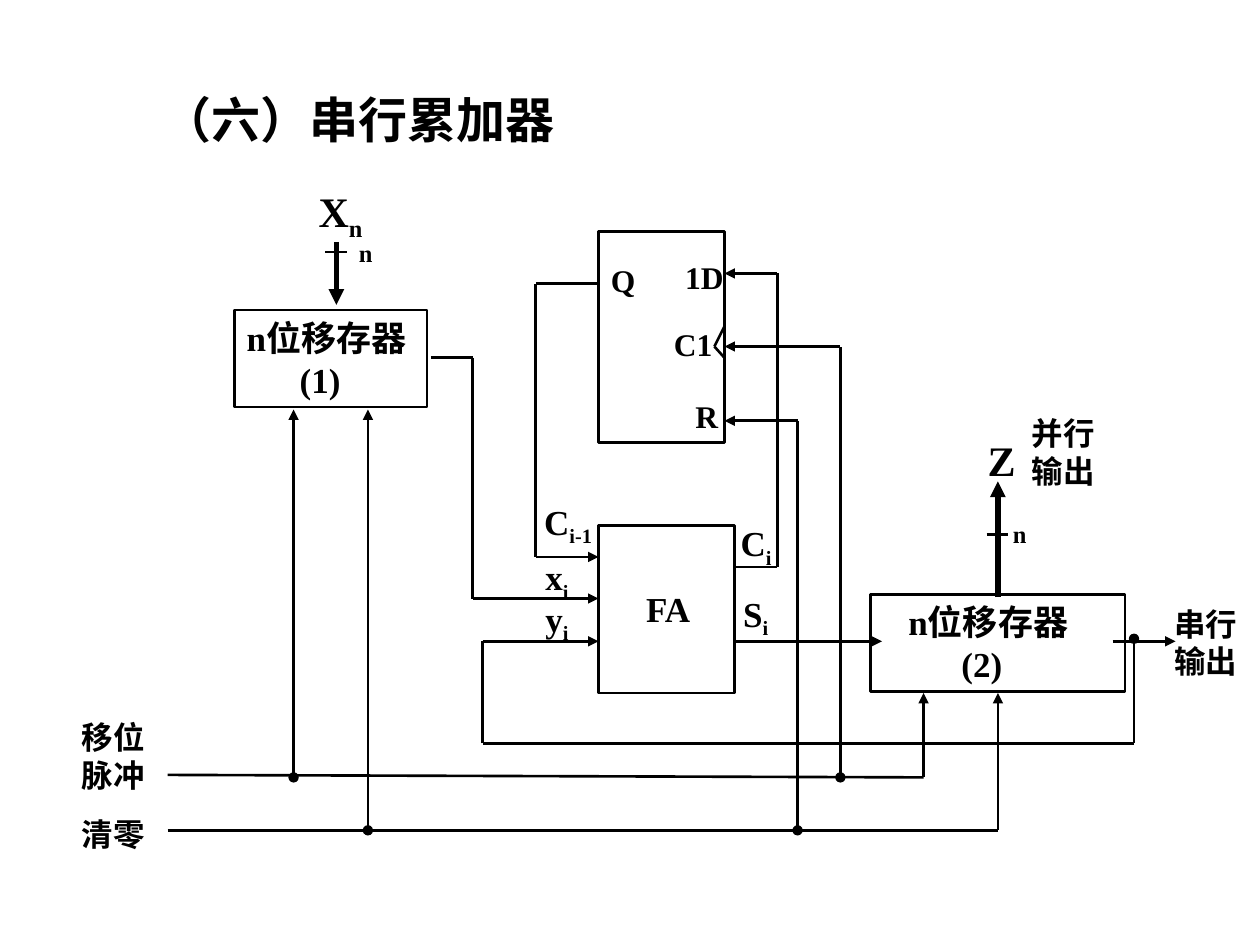
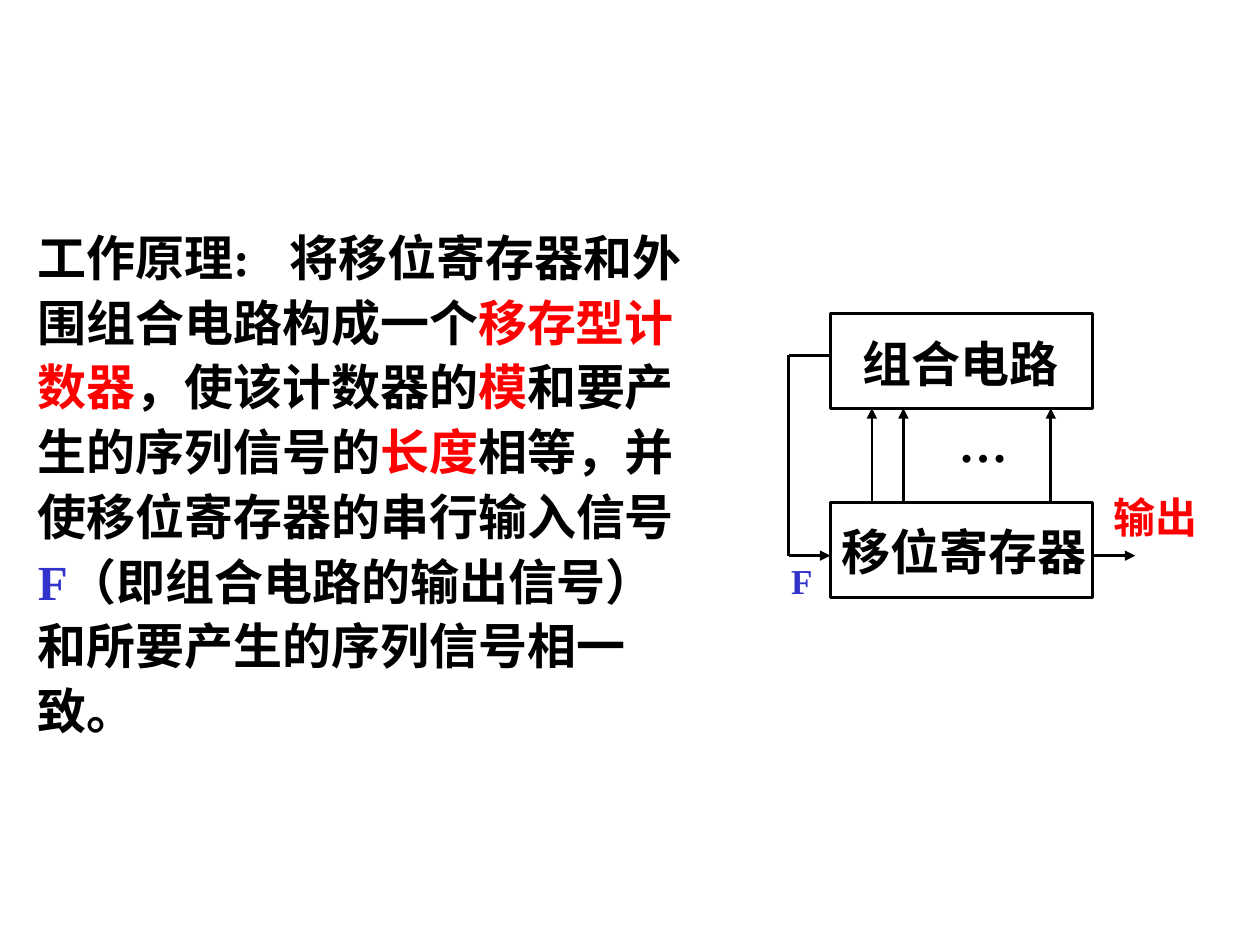
from dataclasses import dataclass

from lxml.etree import SubElement
from pptx import Presentation
from pptx.dml.color import RGBColor
from pptx.enum.shapes import MSO_CONNECTOR, MSO_SHAPE
from pptx.enum.text import MSO_ANCHOR, MSO_AUTO_SIZE, PP_ALIGN
from pptx.oxml.ns import qn
from pptx.shapes.base import BaseShape
from pptx.slide import Slide
from pptx.text.text import TextFrame, _Paragraph
from pptx.util import Inches, Pt

FONT = "Times New Roman"
COLORS = {"ink": "000000", "key": "FF0000", "signal": "3333CC"}
TITLE_ONLY, TITLE_AND_BODY = 5, 1
LINE_WIDTH, BUS_WIDTH = 1.5, 3

Point = tuple[float, float]


@dataclass(frozen=True)
class Box:
    left: float
    top: float
    width: float
    height: float


@dataclass(frozen=True)
class Label:
    box: Box
    lines: tuple[str, ...]
    size: float
    subscript: str = ""
    color: str = "ink"


@dataclass(frozen=True)
class Wire:
    """A chain of straight lines, with optional end marks."""
    points: tuple[Point, ...]
    head: str = ""
    tail: str = ""
    width: float = LINE_WIDTH


def color_of(name: str) -> RGBColor:
    return RGBColor.from_string(COLORS[name])


def add_run(paragraph: _Paragraph, text: str, size: float,
            color: str = "ink", subscript: bool = False) -> None:
    run = paragraph.add_run()
    run.text = text
    run.font.name = FONT
    run.font.size = Pt(size)
    run.font.bold = True
    run.font.color.rgb = color_of(color)
    if subscript:
        run._r.get_or_add_rPr().set("baseline", "-25000")


def next_paragraph(frame: TextFrame, index: int) -> _Paragraph:
    paragraph = frame.paragraphs[0] if index == 0 else frame.add_paragraph()
    paragraph.alignment = PP_ALIGN.LEFT
    return paragraph


def place(shape: BaseShape, box: Box) -> None:
    shape.left, shape.top = Inches(box.left), Inches(box.top)
    shape.width, shape.height = Inches(box.width), Inches(box.height)


def prepare_text(shape: BaseShape, box: Box) -> TextFrame:
    """Place a text shape and let its text start at the top left."""
    place(shape, box)
    frame = shape.text_frame
    frame.word_wrap = True
    frame.auto_size = MSO_AUTO_SIZE.NONE
    frame.vertical_anchor = MSO_ANCHOR.TOP
    return frame


def add_label(slide: Slide, label: Label) -> None:
    frame = prepare_text(slide.shapes.add_textbox(0, 0, 0, 0), label.box)
    frame.margin_right = 0
    for index, line in enumerate(label.lines):
        paragraph = next_paragraph(frame, index)
        add_run(paragraph, line, label.size, label.color)
    if label.subscript:
        add_run(paragraph, label.subscript, label.size, label.color, True)


def add_block(slide: Slide, box: Box) -> BaseShape:
    shape = slide.shapes.add_shape(MSO_SHAPE.RECTANGLE, 0, 0, 0, 0)
    place(shape, box)
    shape.shadow.inherit = False
    shape.fill.background()
    shape.line.color.rgb = color_of("ink")
    shape.line.width = Pt(LINE_WIDTH)
    return shape


def add_register(slide: Slide, box: Box, margin: float, number: str) -> None:
    """Draw an n-bit shift register with its number on the second line."""
    frame = prepare_text(add_block(slide, box), box)
    frame.margin_left, frame.margin_right = Inches(margin), 0
    for index, line in enumerate(("n位移存器", number)):
        paragraph = next_paragraph(frame, index)
        if index == 1:
            paragraph._p.get_or_add_pPr().set("marL", str(Inches(0.42)))
        add_run(paragraph, line, 20)


def add_wire(slide: Slide, wire: Wire) -> None:
    segments = list(zip(wire.points, wire.points[1:]))
    for index, (start, end) in enumerate(segments):
        connector = slide.shapes.add_connector(
            MSO_CONNECTOR.STRAIGHT, *map(Inches, start + end))
        connector.line.color.rgb = color_of("ink")
        connector.line.width = Pt(wire.width)
        line = connector.line._get_or_add_ln()
        if wire.head and index == 0:
            SubElement(line, qn("a:headEnd"), type=wire.head)
        if wire.tail and index == len(segments) - 1:
            SubElement(line, qn("a:tailEnd"), type=wire.tail)
        SubElement(connector._element.spPr, qn("a:effectLst"))


def build_accumulator(presentation: Presentation) -> None:
    slide = presentation.slides.add_slide(presentation.slide_layouts[TITLE_ONLY])
    frame = prepare_text(slide.shapes.title, Box(1.19, 0.66, 3.89, 0.57))
    add_run(next_paragraph(frame, 0), "（六）串行累加器", 28)

    add_register(slide, Box(1.86, 2.46, 1.53, 0.77), 0.1, "(1)")
    add_register(slide, Box(6.91, 4.72, 2.02, 0.77), 0.3, "(2)")
    full_adder = Box(4.75, 4.17, 1.08, 1.33)
    flip_flop = Box(4.75, 1.84, 1, 1.67)
    for box in (full_adder, flip_flop):
        add_block(slide, box)

    left_pins, right_pins = full_adder.left, flip_flop.left + flip_flop.width
    adder_right = full_adder.left + full_adder.width
    shift_y, clear_y, sum_y, feedback_y = 6.17, 6.59, 5.09, 5.9
    register_bottoms = 3.25, 5.5
    wires = (
        # Clock notch of the flip-flop
        Wire(((right_pins, 2.59), (5.67, 2.75), (right_pins, 2.84))),
        # Shift pulse and clear lines
        Wire(((1.33, 6.15), (7.33, shift_y), (7.33, register_bottoms[1])), tail="triangle"),
        Wire(((1.33, clear_y), (7.92, clear_y), (7.92, register_bottoms[1])), tail="triangle"),
        Wire(((2.33, shift_y), (2.33, register_bottoms[0])), "oval", "triangle"),
        Wire(((2.92, clear_y), (2.92, register_bottoms[0])), "oval", "triangle"),
        Wire(((6.33, clear_y), (6.33, 3.34), (right_pins, 3.34)), "oval", "triangle"),
        Wire(((6.67, shift_y), (6.67, 2.75), (right_pins, 2.75)), "oval", "triangle"),
        # Adder inputs
        Wire(((4.75, 2.25), (4.25, 2.25), (4.25, 4.42), (left_pins, 4.42)), tail="triangle"),
        Wire(((3.42, 2.84), (3.75, 2.84), (3.75, 4.75), (left_pins, 4.75)), tail="triangle"),
        Wire(((9, 5.07), (9, feedback_y), (3.83, feedback_y), (3.83, sum_y),
              (left_pins, sum_y)), "oval", "triangle"),
        # Adder outputs and serial output
        Wire(((adder_right, 4.5), (6.17, 4.5), (6.17, 2.17), (right_pins, 2.17)),
             tail="triangle"),
        Wire(((adder_right, sum_y), (7, sum_y)), tail="triangle"),
        Wire(((8.83, sum_y), (9.33, sum_y)), tail="triangle"),
        # Parallel buses and their width ticks
        Wire(((2.67, 1.92), (2.67, 2.42)), tail="triangle", width=BUS_WIDTH),
        Wire(((7.92, 4.74), (7.92, 3.82)), tail="triangle", width=BUS_WIDTH),
        Wire(((2.58, 2), (2.75, 2))),
        Wire(((7.83, 4.24), (8, 4.24))),
    )
    for wire in wires:
        add_wire(slide, wire)

    labels = (
        Label(Box(5.03, 4.61, 0.57, 0.44), ("FA",), 20),
        Label(Box(4.75, 2.02, 0.39, 0.4), ("Q",), 18),
        Label(Box(5.34, 2, 0.5, 0.4), ("1D",), 18),
        Label(Box(5.25, 2.53, 0.5, 0.4), ("C1",), 18),
        Label(Box(5.42, 3.1, 0.38, 0.4), ("R",), 18),
        Label(Box(2.43, 1.42, 0.55, 0.56), ("X",), 24, "n"),
        Label(Box(4.22, 3.92, 0.58, 0.48), ("C",), 20, "i-1"),
        Label(Box(5.78, 4.09, 0.44, 0.48), ("C",), 20, "i"),
        Label(Box(5.8, 4.65, 0.4, 0.48), ("S",), 20, "i"),
        Label(Box(4.23, 4.36, 0.38, 0.48), ("x",), 20, "i"),
        Label(Box(4.23, 4.69, 0.38, 0.48), ("y",), 20, "i"),
        Label(Box(2.75, 1.84, 0.31, 0.34), ("n",), 14),
        Label(Box(7.94, 4.07, 0.31, 0.34), ("n",), 14),
        Label(Box(7.74, 3.4, 0.42, 0.5), ("Z",), 24),
        Label(Box(0.55, 6.42, 0.7, 0.4), ("清零",), 18),
        Label(Box(0.55, 5.65, 0.7, 0.7), ("移位", "脉冲"), 18),
        Label(Box(9.22, 4.75, 0.7, 0.7), ("串行", "输出"), 18),
        Label(Box(8.09, 3.24, 0.7, 0.7), ("并行", "输出"), 18),
    )
    for label in labels:
        add_label(slide, label)


PRINCIPLE = (
    (("工作原理:\t将移位寄存器和外围组合电路构成一个", "ink"), ("移存型计数器", "key"),
     ("，使该计数器的", "ink"), ("模", "key"), ("和要产生的序列信号的", "ink"),
     ("长度", "key"), ("相等，并使移位寄存器的串行输入信号", "ink")),
    (("F", "signal"), ("（即组合电路的输出信号）", "ink")),
    (("和所要产生的序列信号相一致。", "ink"),),
)


def fill_principle(frame: TextFrame) -> None:
    for index, runs in enumerate(PRINCIPLE):
        paragraph = next_paragraph(frame, index)
        properties = paragraph._p.get_or_add_pPr()
        for name in ("marL", "indent", "hangingPunct"):
            properties.set(name, "0")
        SubElement(properties, qn("a:buNone"))
        if index == 0:
            tabs = SubElement(properties, qn("a:tabLst"))
            SubElement(tabs, qn("a:tab"), pos=str(Inches(2.13)), algn="l")
        paragraph.line_spacing = 1.1
        paragraph.space_before = Pt(0)
        for text, color in runs:
            add_run(paragraph, text, 28, color)


def build_principle(presentation: Presentation) -> None:
    slide = presentation.slides.add_slide(presentation.slide_layouts[TITLE_AND_BODY])
    title = slide.shapes.title._element
    title.getparent().remove(title)
    fill_principle(prepare_text(slide.placeholders[1], Box(0.2, 1.71, 5.5, 3.7)))

    logic = Box(6.59, 2.49, 2.08, 0.75)
    register = Box(logic.left, logic.top + 1.5, logic.width, logic.height)
    for box in (logic, register):
        add_block(slide, box)
    for x in (6.92, 7.17, 8.34):
        add_wire(slide, Wire(((x, register.top), (x, logic.top + logic.height)),
                             tail="triangle"))
    serial_y, feedback_x = 4.41, 6.26
    add_wire(slide, Wire(((logic.left, 2.82), (feedback_x, 2.82), (feedback_x, serial_y),
                          (register.left, serial_y)), tail="triangle"))
    add_wire(slide, Wire(((register.left + register.width, serial_y), (9.01, serial_y)),
                         tail="triangle"))

    labels = (
        Label(Box(6.75, 2.6, 1.75, 0.57), ("组合电路",), 28),
        Label(Box(6.58, 4.09, 2.14, 0.57), ("移位寄存器",), 28),
        Label(Box(7.51, 3.23, 0.59, 0.57), ("…",), 28),
        Label(Box(8.74, 3.85, 0.86, 0.5), ("输出",), 24, color="key"),
        Label(Box(6.18, 4.39, 0.37, 0.44), ("F",), 20, color="signal"),
    )
    for label in labels:
        add_label(slide, label)


def main() -> None:
    presentation = Presentation()
    presentation.slide_width, presentation.slide_height = Inches(10), Inches(7.5)
    build_accumulator(presentation)
    build_principle(presentation)
    presentation.save("out.pptx")


if __name__ == "__main__":
    main()
